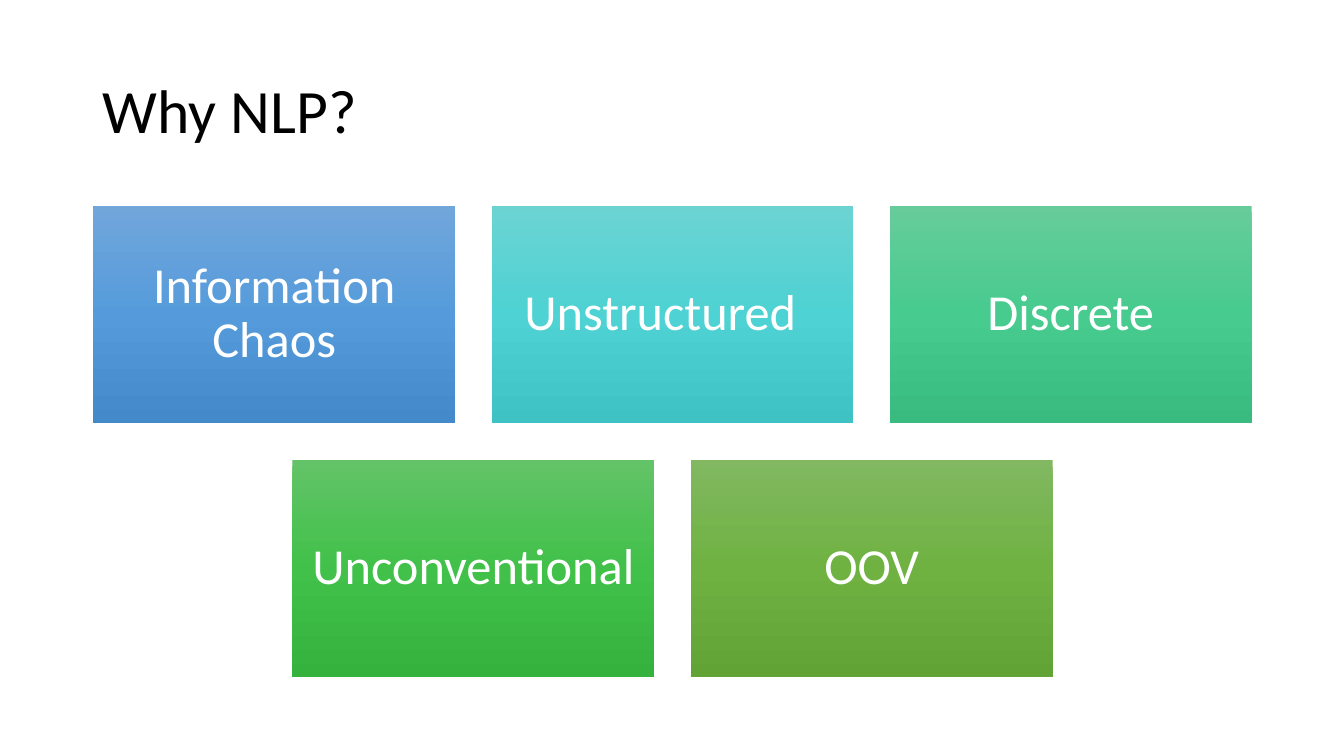
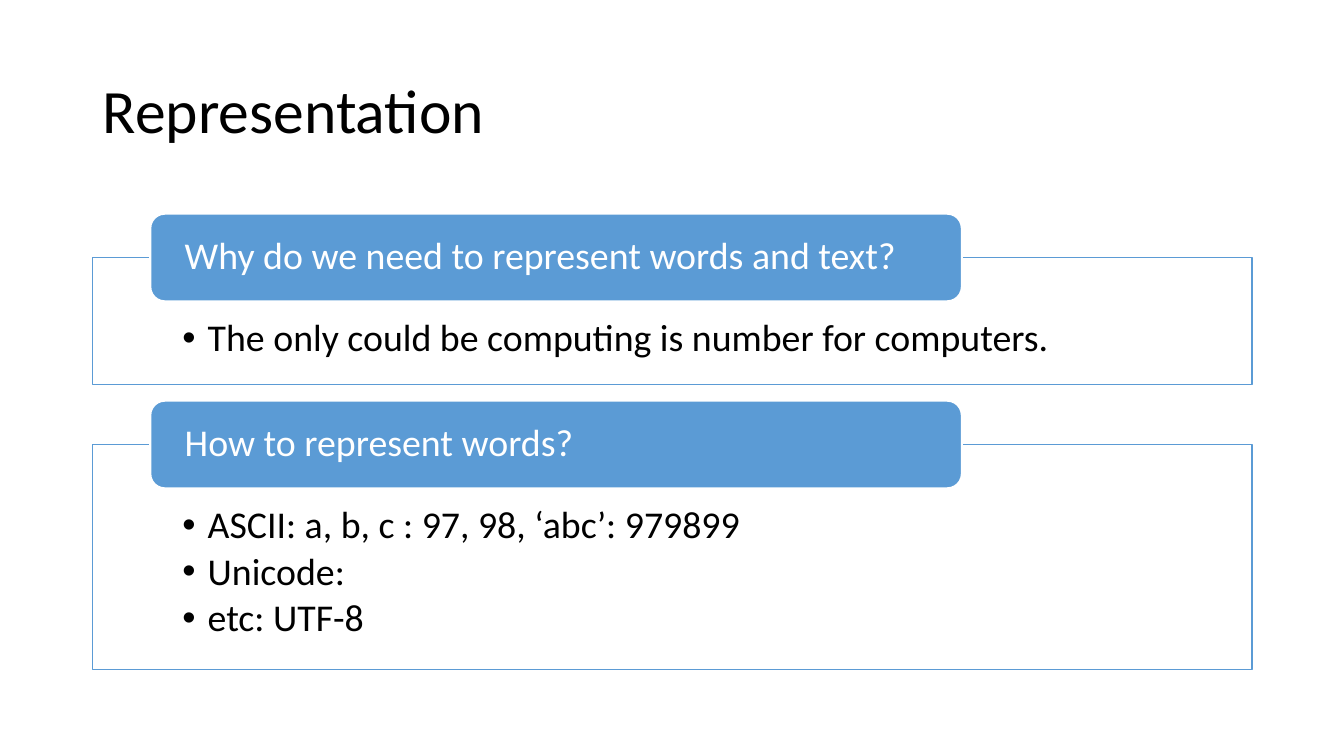
from copy import deepcopy
from dataclasses import dataclass

from lxml.etree import SubElement
from pptx import Presentation
from pptx.dml.color import RGBColor
from pptx.enum.shapes import MSO_SHAPE as Shape
from pptx.enum.text import MSO_ANCHOR as Anchor, PP_ALIGN as Align
from pptx.oxml.ns import qn
from pptx.util import Inches, Pt


@dataclass(frozen=True)
class Theme:
    font: str = "Calibri"
    text: RGBColor = RGBColor.from_string("000000")
    white: RGBColor = RGBColor.from_string("FFFFFF")
    accent: RGBColor = RGBColor.from_string("5B9BD5")
    title_size: int = 44
    tile_size: int = 36
    panel_size: int = 27
    left: float = 0.92
    width: float = 11.5


theme = Theme()


def write(frame, lines, size, color, align=Align.LEFT, anchor=Anchor.MIDDLE,
          insets=(0.1, 0.05, 0.1, 0.05), bullets=False, space_after=0):
    frame.word_wrap = True
    frame.vertical_anchor = anchor
    frame.margin_left, frame.margin_top, frame.margin_right, frame.margin_bottom = map(Inches, insets)
    for index, line in enumerate(lines):
        para = frame.add_paragraph() if index else frame.paragraphs[0]
        para.alignment = align
        para.line_spacing = 0.9
        para.space_before = Pt(0)
        para.space_after = Pt(space_after)
        if bullets:
            para.level = 1
            properties = para._p.get_or_add_pPr()
            properties.set("marL", str(Inches(0.25)))
            properties.set("indent", str(Inches(-0.25)))
            SubElement(properties, qn("a:buFont"), typeface="Arial")
            SubElement(properties, qn("a:buChar"), char="•")
        span = para.add_run()
        span.text = line
        span.font.name = theme.font
        span.font.size = Pt(size)
        span.font.color.rgb = color


def add_box(page, kind, left, top, width, height):
    box = page.shapes.add_shape(kind, Inches(left), Inches(top), Inches(width), Inches(height))
    box.shadow.inherit = False
    return box


deck = Presentation()
deck.slide_width, deck.slide_height = Inches(13.33), Inches(7.5)
layout = deck.slide_layouts[5]
layout_title = layout.placeholders[0]
layout_title.left, layout_title.top = Inches(theme.left), Inches(0.4)
layout_title.width, layout_title.height = Inches(theme.width), Inches(1.45)

pages = []
for title in ("Why NLP?", "Representation"):
    page = deck.slides.add_slide(layout)
    write(page.shapes.title.text_frame, [title], theme.title_size, theme.text)
    pages.append(page)
reasons_page, representation_page = pages

tile_width, tile_height, tile_gap = 3.59, 2.16, 0.36
tile_rows = [
    [("Information Chaos", ("71A6DB", "559BDB", "448ACA"), 0.15),
     ("Unstructured", ("6CD3D3", "4ED2D3", "3EC2C3"), 0.39),
     ("Discrete", ("67CC9A", "47CB8E", "39BB7F"), 0.15)],
    [("Unconventional", ("63C368", "42C14A", "34B23D"), 0.15),
     ("OOV", ("81B861", "6FB242", "62A336"), 0.15)],
]
for row, tiles in enumerate(tile_rows):
    row_width = len(tiles) * (tile_width + tile_gap) - tile_gap
    row_left = theme.left + (theme.width - row_width) / 2
    top = 2.04 + row * (tile_height + tile_gap)
    for column, (label, colors, right_inset) in enumerate(tiles):
        left = row_left + column * (tile_width + tile_gap)
        tile = add_box(reasons_page, Shape.RECTANGLE, left, top, tile_width, tile_height)
        tile.line.fill.background()
        tile.fill.gradient()
        tile.fill.gradient_angle = 270
        stops = tile.element.spPr.find(".//" + qn("a:gsLst"))
        stops.append(deepcopy(stops[0]))
        for stop, color, position in zip(tile.fill.gradient_stops, colors, (0, 0.5, 1)):
            stop.color.rgb = RGBColor.from_string(color)
            stop.position = position
        write(tile.text_frame, [label], theme.tile_size, theme.white, align=Align.CENTER,
              insets=(0.15, 0.15, right_inset, 0.15))

header_height, panel_gap = 0.87, 0.16
panels = [
    ("Why do we need to represent words and text?", 1.26,
     ["The only could be computing is number for computers."]),
    ("How to represent words?", 2.23,
     ["ASCII: a, b, c : 97, 98, ‘abc’: 979899", "Unicode:", "etc: UTF-8"]),
]
header_top = 2.12
for heading, panel_height, points in panels:
    panel_top = header_top + header_height / 2
    panel = add_box(representation_page, Shape.RECTANGLE, theme.left, panel_top, theme.width, panel_height)
    panel.fill.solid()
    panel.fill.fore_color.rgb = theme.white
    SubElement(panel.element.spPr.find(".//" + qn("a:srgbClr")), qn("a:alpha"), val="90000")
    panel.line.color.rgb = theme.accent
    panel.line.width = Pt(1)
    write(panel.text_frame, points, theme.panel_size, theme.text, anchor=Anchor.TOP,
          insets=(0.89, 0.61, 0.89, 0.21), bullets=True, space_after=4)

    header = add_box(representation_page, Shape.ROUNDED_RECTANGLE, 1.49, header_top, 8.05, header_height)
    header.fill.solid()
    header.fill.fore_color.rgb = theme.accent
    header.line.color.rgb = theme.white
    header.line.width = Pt(1.5)
    write(header.text_frame, [heading], theme.panel_size, theme.white, insets=(0.3, 0, 0.3, 0))
    header_top = panel_top + panel_height + panel_gap

deck.save("out.pptx")
